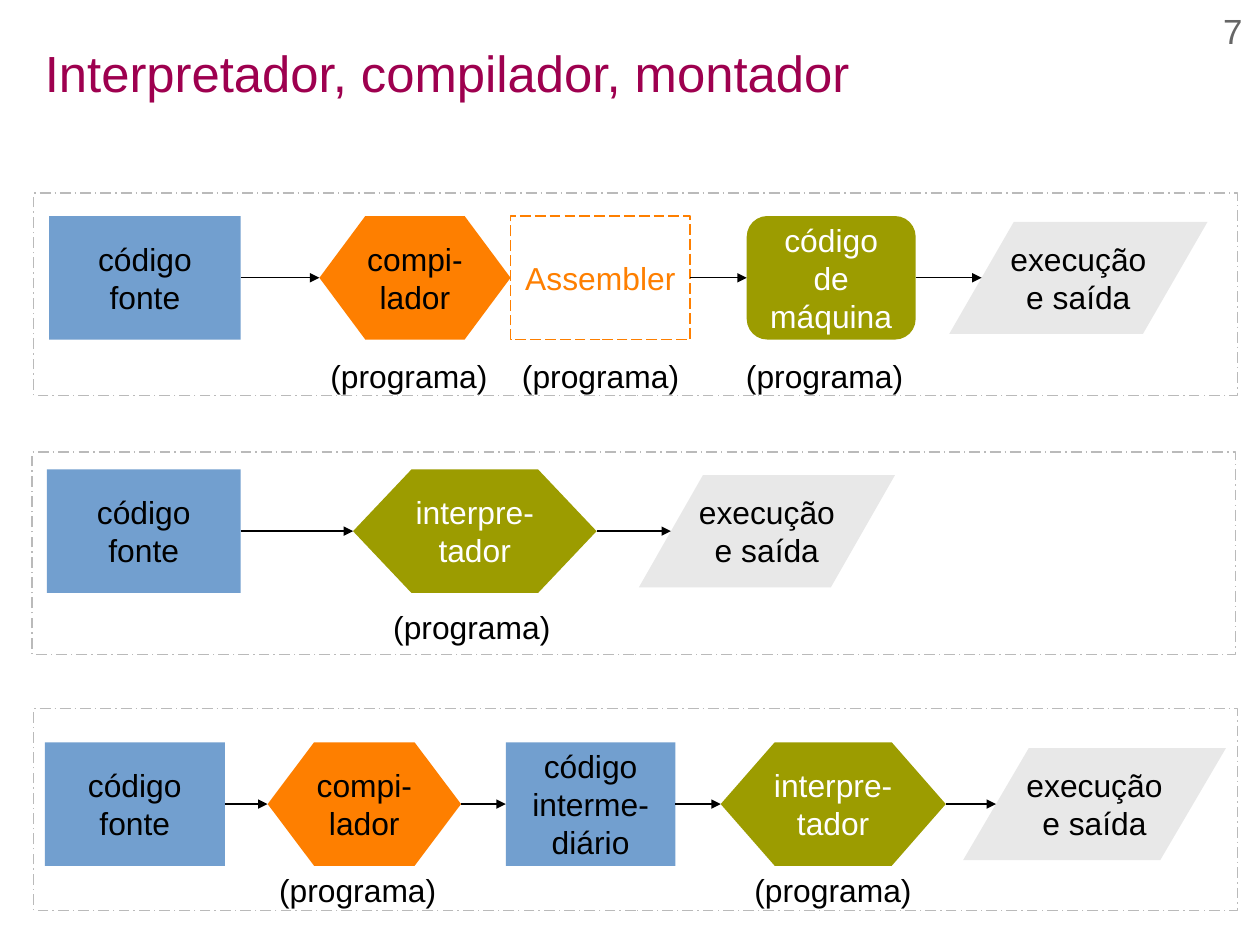
from pptx import Presentation
from pptx.util import Pt
from pptx.dml.color import RGBColor
from pptx.enum.dml import MSO_LINE
from pptx.enum.shapes import MSO_CONNECTOR, MSO_SHAPE
from pptx.enum.text import MSO_ANCHOR, PP_ALIGN
from pptx.oxml.ns import qn
from lxml.etree import SubElement

BLACK, WHITE, ORANGE, OLIVE = "000000", "FFFFFF", "FE7F00", "9C9C00"
BLUE, GREY, PLUM = "729FCF", "E8E8E8", "9E004F"
STEP_H, IO_H = 77.8, 70.6
ROW_W, ROW_H = 758.2, 127.4

# kind: preset, fill, text colour, slant as a share of the width
KINDS = {
    "data": (MSO_SHAPE.RECTANGLE, BLUE, BLACK, None),
    "compiler": (MSO_SHAPE.HEXAGON, ORANGE, BLACK, 0.24),
    "interpreter": (MSO_SHAPE.HEXAGON, OLIVE, WHITE, 0.24),
    "assembler": (MSO_SHAPE.RECTANGLE, None, ORANGE, None),
    "machine": (MSO_SHAPE.ROUNDED_RECTANGLE, OLIVE, WHITE, None),
    "output": (MSO_SHAPE.PARALLELOGRAM, GREY, BLACK, 0.25),
}
BOXES = (MSO_SHAPE.RECTANGLE, MSO_SHAPE.ROUNDED_RECTANGLE)

# left, top, gap above steps, gap from step top to caption, steps
# step: kind, text, x in row, width, caption shift (None for no caption)
ROWS = [
    (21.3, 121.7, 14.4, 85, [
        ("data", "código fonte", 9.7, 120.6, None),
        ("compiler", "compi-lador", 179.9, 120.4, -0.3),
        ("assembler", "Assembler", 300.3, 113.2, 0),
        ("machine", "código de máquina", 449.1, 106.4, -7.7),
        ("output", "execução e saída", 576.7, 162.7, None),
    ]),
    (20.2, 284.8, 10.9, 83.8, [
        ("data", "código fonte", 9.4, 122, None),
        ("interpreter", "interpre-tador", 202.2, 153.4, 18.1),
        ("output", "execução e saída", 382.3, 161.3, None),
    ]),
    (21.3, 446.2, 21.4, 77.6, [
        ("data", "código fonte", 6.9, 113.4, None),
        ("compiler", "compi-lador", 147.3, 121.8, 0),
        ("data", "código interme-diário", 297.3, 106.9, None),
        ("interpreter", "interpre-tador", 432.7, 141.8, 14),
        ("output", "execução e saída", 585.4, 165.6, None),
    ]),
]


def rgb(code):
    return RGBColor.from_string(code)


def write(frame, text, size, color, align):
    para = frame.paragraphs[0]
    para.text = text
    para.alignment = align
    font = para.font
    font.name, font.size = "Arial", Pt(size)
    font.color.rgb = rgb(color)
    return para


def label(slide, text, box, size, color, align=PP_ALIGN.LEFT, anchor=MSO_ANCHOR.TOP):
    """Add a text box without insets."""
    frame = slide.shapes.add_textbox(*map(Pt, box)).text_frame
    frame.margin_left = frame.margin_right = 0
    frame.margin_top = frame.margin_bottom = 0
    frame.word_wrap = True
    frame.vertical_anchor = anchor
    return write(frame, text, size, color, align)


def block(slide, preset, box, fill=None, line=None, dash=None):
    shape = slide.shapes.add_shape(preset, *map(Pt, box))
    shape.shadow.inherit = False
    if fill:
        shape.fill.solid()
        shape.fill.fore_color.rgb = rgb(fill)
    else:
        shape.fill.background()
    if line:
        shape.line.color.rgb = rgb(line)
        shape.line.width = Pt(0.85)
        shape.line.dash_style = dash
    else:
        shape.line.fill.background()
    return shape


def arrow(slide, start, end, y):
    """Join two steps, each given as (shape, x of its side)."""
    (first, x1), (last, x2) = start, end
    link = slide.shapes.add_connector(
        MSO_CONNECTOR.STRAIGHT, Pt(x1), Pt(y), Pt(x2), Pt(y))
    if first.auto_shape_type in BOXES:
        link.begin_connect(first, 3)
    if last.auto_shape_type in BOXES:
        link.end_connect(last, 1)
    link.line.color.rgb = rgb(BLACK)
    link.line.width = Pt(0.85)
    SubElement(link.line._get_or_add_ln(), qn("a:tailEnd"), type="triangle")
    SubElement(link._element.spPr, qn("a:effectLst"))


def step(slide, kind, text, box):
    preset, fill, color, slant = KINDS[kind]
    line = None if fill else ORANGE
    shape = block(slide, preset, box, fill, line, MSO_LINE.LONG_DASH)
    if slant:
        shape.adjustments[0] = slant * box[2] / box[3]
    frame = shape.text_frame
    frame.word_wrap = True
    frame.vertical_anchor = MSO_ANCHOR.MIDDLE
    write(frame, text, 20, color, PP_ALIGN.CENTER)
    return shape


def row(slide, left, top, gap, drop, steps):
    """Place one chain of steps, its arrows, captions and frame."""
    mid = top + gap + STEP_H / 2
    prior = None
    for kind, text, x, width, shift in steps:
        x += left
        high = IO_H if kind == "output" else STEP_H
        shape = step(slide, kind, text, (x, mid - high / 2, width, high))
        side = x + width * KINDS[kind][3] / 2 if kind == "output" else x
        if prior and side - prior[1] > 1:
            arrow(slide, prior, (shape, side), mid)
        prior = shape, x + width
        if shift is not None:
            spot = (x + shift + 7.2, top + gap + drop + 3.6, 106, 24)
            label(slide, "(programa)", spot, 20, BLACK)
    block(slide, MSO_SHAPE.RECTANGLE, (left, top, ROW_W, ROW_H),
          line="BABABA", dash=MSO_LINE.LONG_DASH_DOT)


def main():
    deck = Presentation()
    deck.slide_width, deck.slide_height = Pt(793.7), Pt(595.28)
    slide = deck.slides.add_slide(deck.slide_layouts[6])
    title = label(slide, "Interpretador, compilador, montador",
                  (28.3, 14.4, 737.3, 56.9), 32, PLUM, anchor=MSO_ANCHOR.MIDDLE)
    title.line_spacing = 1.15
    label(slide, "7", (586, 5.8, 196.6, 33), 22, "666666", PP_ALIGN.RIGHT)
    for parts in ROWS:
        row(slide, *parts)
    deck.save("out.pptx")


if __name__ == "__main__":
    main()
